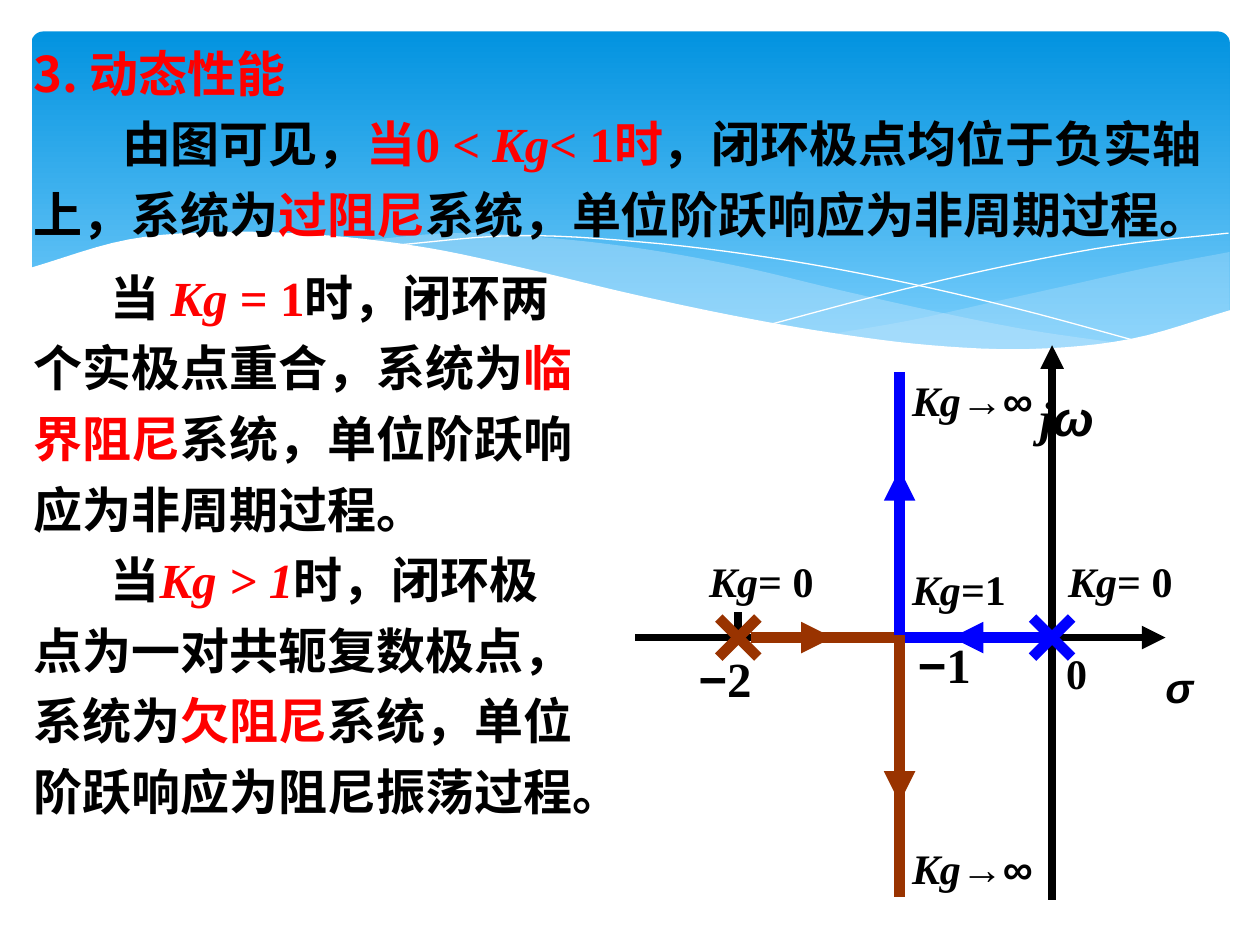
import math

from lxml import etree
from pptx import Presentation
from pptx import util as u
from pptx.dml import color
from pptx.enum import shapes as s, text as t
from pptx.oxml.ns import qn

BLACK, RED, BLUE, BROWN = "000000", "FF0000", "0000FF", "993300"
WHITE, PALE = "FFFFFF", "C6E7FC"
CJK, ROMAN, SANS = "Noto Sans CJK SC", "Times New Roman", "Arial"

deck = Presentation()
deck.slide_width, deck.slide_height = u.Inches(10), u.Inches(7.5)
page = deck.slides.add_slide(deck.slide_layouts[6])


def rgb(code):
    return color.RGBColor.from_string(code)


def write(where, paras, size=24, align="LEFT", indent=0, gap=1.0):
    """Add a text box; each paragraph is a list of (text, marks) runs.

    Marks: r red, i italic, a sans Latin, n CJK font for Latin too.
    The indent is that of the first line; headings marked n have none.
    """
    box = page.shapes.add_textbox(*map(u.Inches, where))
    frame = box.text_frame
    frame.word_wrap = True
    for n, runs in enumerate(paras):
        para = frame.paragraphs[0] if n == 0 else frame.add_paragraph()
        para.alignment = getattr(t.PP_ALIGN, align)
        para.line_spacing = gap
        if "n" not in runs[0][1]:
            para._p.get_or_add_pPr().set("indent", str(u.Inches(indent)))
        for words, marks in runs:
            run = para.add_run()
            run.text = words
            font = run.font
            font.size, font.bold = u.Pt(size), True
            font.italic = "i" in marks
            font.color.rgb = rgb(RED if "r" in marks else BLACK)
            font.name = SANS if "a" in marks else CJK if "n" in marks else ROMAN
            east = etree.SubElement(run._r.get_or_add_rPr(), qn("a:ea"))
            east.set("typeface", CJK)


# Banner
panel = page.shapes.add_shape(s.MSO_SHAPE.ROUNDED_RECTANGLE,
                              *map(u.Inches, (0.25, 0.25, 9.51, 2.7)))
panel.adjustments[0] = 0.034
panel.shadow.inherit = False
panel.line.fill.background()
panel.fill.gradient()
panel.fill.gradient_angle = 270
for stop, code in zip(panel.fill.gradient_stops, ("0293E0", "83D3FE")):
    stop.color.rgb = rgb(code)

# Waves: fill (None for a thin curve), opacity, then edges as
# start x, end x and heights at equal steps between them
waves = [
    (PALE, 29, [(6.61, 9.76, [2.65, 2.73, 2.77, 2.76, 2.67, 2.47]),
                (9.76, 6.61, [2, 2.12, 2.26, 2.4, 2.54, 2.65])]),
    (PALE, 40, [(8.93, 2.86, [2.73, 2.62, 2.47, 2.3, 2.12, 1.98, 1.89, 1.85, 1.91]),
                (2.86, 8.93, [1.91, 2.03, 2.19, 2.37, 2.53, 2.66, 2.75, 2.79, 2.73])]),
    (None, 100, [(3.09, 9.07, [1.95, 1.87, 1.92, 2.04, 2.22, 2.45, 2.72])]),
    (None, 100, [(6.13, 9.75, [2.57, 2.33, 2.12, 1.95, 1.85])]),
    (WHITE, 100, [(9.77, 0.23, [2.46, 2.69, 2.77, 2.74, 2.64, 2.5, 2.33, 2.14,
                                1.97, 1.87, 1.84, 1.9, 2.13]),
                  (0.23, 9.77, [3.29, 3.29])]),
]
STEPS = 6
for code, alpha, edges in waves:
    spots = []
    for left, right, ys in edges:
        last = len(ys) - 1
        ext = [2 * ys[0] - ys[1], *ys, 2 * ys[-1] - ys[-2]]
        for k in range(last * STEPS + 1):
            n = min(k // STEPS, last - 1)
            f = k / STEPS - n
            a, b, c, d = ext[n:n + 4]
            # Catmull-Rom spline through the heights
            y = b + f / 2 * (c - a + f * (2 * a - 5 * b + 4 * c - d
                                          + f * (3 * (b - c) + d - a)))
            x = left + (right - left) * k / (last * STEPS)
            spots.append((u.Inches(x), u.Inches(y)))
    pen = page.shapes.build_freeform(*spots[0])
    pen.add_line_segments(spots[1:], close=code is not None)
    wave = pen.convert_to_shape()
    wave.shadow.inherit = False
    if code is None:
        wave.fill.background()
        wave.line.color.rgb = rgb(WHITE)
        wave.line.width = u.Pt(0)
        continue
    wave.line.fill.background()
    wave.fill.solid()
    wave.fill.fore_color.rgb = rgb(code)
    if alpha < 100:
        tint = wave.fill._xPr.find(qn("a:solidFill"))[0]
        etree.SubElement(tint, qn("a:alpha")).set("val", str(alpha * 1000))

# Root locus: start, end, colour, width, arrow at the end
AXIS, MID, ZERO, POLE = 5.06, 7.14, 8.35, 5.86
lines = [
    (ZERO, 7.14, ZERO, 2.74, BLACK, 4.5, True),
    (5.04, AXIS, 9.25, AXIS, BLACK, 4.5, True),
    (MID, 4.89, MID, AXIS, BLACK, 4.5, False),
    (POLE, 4.86, POLE, AXIS, BLACK, 4.5, False),
]
STUB, ARM = 0.33, 0.155
for x, y, x2, y2, code, part in (
        (8.29, AXIS, MID, AXIS, BLUE, 0.64), (5.96, AXIS, MID, AXIS, BROWN, 0.55),
        (MID, 5.04, MID, 7.12, BROWN, 0.64), (MID, 5.04, MID, 2.95, BLUE, 0.63)):
    back = part - STUB / math.dist((x, y), (x2, y2))
    dx, dy = x2 - x, y2 - y
    lines += [(x, y, x2, y2, code, 6, False),
              (x + back * dx, y + back * dy, x + part * dx, y + part * dy, code, 6, True)]
for x, code in ((ZERO, BLUE), (POLE, BROWN)):
    for rise in (ARM, -ARM):
        lines.append((x - ARM, AXIS - rise, x + ARM, AXIS + rise, code, 6, False))
for *ends, code, width, arrow in lines:
    line = page.shapes.add_connector(s.MSO_CONNECTOR.STRAIGHT, *map(u.Inches, ends))
    line.line.color.rgb = rgb(code)
    line.line.width = u.Pt(width)
    if arrow:
        etree.SubElement(line.line._get_or_add_ln(), qn("a:tailEnd")).set("type", "triangle")
    etree.SubElement(line._element.spPr, qn("a:effectLst"))

# Labels of the plot
for x, y, digit in ((5.38, 5.1, "2"), (7.12, 4.99, "1")):
    write((x, y, 0.75, 0.57), [[("−", "a"), (digit, "")]], size=28, align="CENTER")
for x, y, tail, marks in ((8.38, 4.36, "= 0", ""), (5.53, 4.36, "= 0", ""),
                          (MID, 4.42, "=1", ""), (MID, 2.92, "→∞", "a"),
                          (MID, 6.64, "→∞", "a")):
    write((x, y, 1.3, 0.5), [[("Kg", "i"), (tail, marks)]])
write((8.15, 3.03, 0.89, 0.57), [[("j", "i"), ("ω", "ia")]], size=28)
write((9.12, 5.2, 0.48, 0.5), [[("σ", "ia")]], align="CENTER")
write((8.32, 5.09, 0.45, 0.5), [[("0", "")]], align="CENTER")

# Body text
write((0.17, 0.2, 9.72, 1.78), [
    [("3. 动态性能", "rn")],
    [("由图可见，", ""), ("当0 < ", "r"), ("Kg", "ri"), ("< 1时", "r"),
     ("，闭环极点均位于负实轴上，系统为", ""), ("过阻尼", "r"),
     ("系统，单位阶跃响应为非周期过程。", "")],
], size=28, indent=0.7, gap=1.2)
write((0.17, 1.98, 4.54, 4.58), [
    [("当 ", ""), ("Kg", "ri"), (" = 1", "r"), ("时，闭环两个实极点重合，系统为", ""),
     ("临界阻尼", "r"), ("系统，单位阶跃响应为非周期过程。", "")],
    [("当", ""), ("Kg > 1", "ri"), ("时，闭环极点为一对共轭复数极点，系统为", ""),
     ("欠阻尼", "r"), ("系统，单位阶跃响应为阻尼振荡过程。", "")],
], size=28, indent=0.61, gap=1.2)

deck.save("out.pptx")
